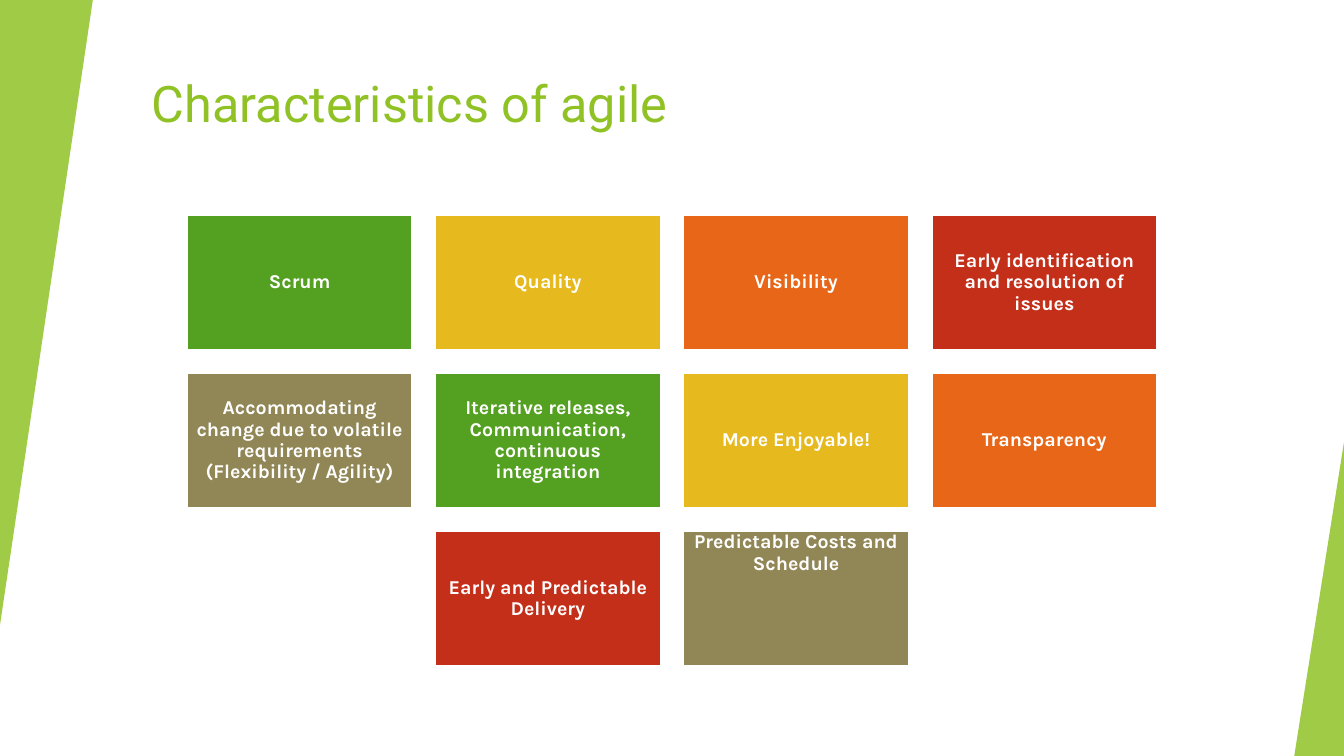
"""Build a slide that shows the characteristics of agile as a centred grid of tiles."""
from lxml.etree import SubElement
from pptx import Presentation
from pptx.dml.color import RGBColor
from pptx.enum.shapes import MSO_SHAPE as Shape
from pptx.enum.text import MSO_ANCHOR as Anchor, PP_ALIGN as Align
from pptx.oxml.ns import qn
from pptx.util import Pt

WHITE = RGBColor(0xFF, 0xFF, 0xFF)
LIME = RGBColor(0x90, 0xC2, 0x26)
GREEN = RGBColor(0x54, 0xA0, 0x21)
YELLOW = RGBColor(0xE6, 0xB9, 0x1E)
ORANGE = RGBColor(0xE7, 0x66, 0x18)
RED = RGBColor(0xC4, 0x2F, 0x1A)
OLIVE = RGBColor(0x91, 0x86, 0x55)

TITLE = "Characteristics of agile"
TILE_ROWS = [
    [
        ("Scrum", GREEN, Anchor.MIDDLE),
        ("Quality", YELLOW, Anchor.MIDDLE),
        ("Visibility", ORANGE, Anchor.MIDDLE),
        ("Early identification and resolution of issues", RED, Anchor.MIDDLE),
    ],
    [
        ("Accommodating change due to volatile requirements (Flexibility / Agility)",
         OLIVE, Anchor.MIDDLE),
        ("Iterative releases, Communication, continuous integration",
         GREEN, Anchor.MIDDLE),
        ("More Enjoyable!", YELLOW, Anchor.MIDDLE),
        ("Transparency", ORANGE, Anchor.MIDDLE),
    ],
    [
        ("Early and Predictable Delivery", RED, Anchor.MIDDLE),
        ("Predictable Costs and Schedule", OLIVE, Anchor.TOP),
    ],
]
EDGE_TRIANGLES = [
    (0, 0, 66.3, 446.4, 180),
    (924.5, 316.1, 35.5, 223.9, 0),
]

SLIDE_WIDTH, SLIDE_HEIGHT = 960, 540
TILE_WIDTH, TILE_HEIGHT, TILE_GAP = 161.2, 96.7, 16.1
GRID_TOP = 153.4
TILE_INSET = 4.2


def add_filled_shape(slide, kind, bounds, color):
    shape = slide.shapes.add_shape(kind, *map(Pt, bounds))
    shape.shadow.inherit = False
    shape.fill.solid()
    shape.fill.fore_color.rgb = color
    return shape


def add_run(paragraph, text, font_name, size, color, bold=False):
    run = paragraph.add_run()
    run.text = text
    run.font.name = font_name
    run.font.size = Pt(size)
    run.font.bold = bold
    run.font.color.rgb = color


def add_edge_triangle(slide, left, top, width, height, rotation):
    triangle = add_filled_shape(
        slide, Shape.ISOSCELES_TRIANGLE, (left, top, width, height), LIME)
    triangle.adjustments[0] = 1
    triangle.rotation = rotation
    triangle.line.fill.background()
    color = triangle.fill._xPr.find(qn("a:solidFill"))[0]
    SubElement(color, qn("a:alpha"), val="85000")


def add_title(slide):
    box = slide.shapes.add_textbox(Pt(101.5), Pt(48), Pt(803), Pt(86.4))
    box.text_frame.word_wrap = True
    add_run(box.text_frame.paragraphs[0], TITLE, "Roboto", 36, LIME)


def add_tile(slide, left, top, text, color, anchor):
    tile = add_filled_shape(
        slide, Shape.RECTANGLE, (left, top, TILE_WIDTH, TILE_HEIGHT), color)
    tile.line.color.rgb = WHITE
    tile.line.width = Pt(1.5)
    frame = tile.text_frame
    frame.word_wrap = True
    frame.vertical_anchor = anchor
    frame.margin_left = frame.margin_right = frame.margin_bottom = Pt(TILE_INSET)
    frame.margin_top = Pt(1 if anchor == Anchor.TOP else TILE_INSET)
    paragraph = frame.paragraphs[0]
    paragraph.alignment = Align.CENTER
    paragraph.line_spacing = 0.9
    add_run(paragraph, text, "Karla", 14, WHITE, bold=True)


def main():
    presentation = Presentation()
    presentation.slide_width = Pt(SLIDE_WIDTH)
    presentation.slide_height = Pt(SLIDE_HEIGHT)
    slide = presentation.slides.add_slide(presentation.slide_layouts[6])
    slide.background.fill.solid()
    slide.background.fill.fore_color.rgb = WHITE

    add_title(slide)
    for triangle in EDGE_TRIANGLES:
        add_edge_triangle(slide, *triangle)

    for row, tiles in enumerate(TILE_ROWS):
        row_width = len(tiles) * (TILE_WIDTH + TILE_GAP) - TILE_GAP
        row_left = (SLIDE_WIDTH - row_width) / 2
        top = GRID_TOP + row * (TILE_HEIGHT + TILE_GAP)
        for column, tile in enumerate(tiles):
            add_tile(slide, row_left + column * (TILE_WIDTH + TILE_GAP), top, *tile)

    presentation.save("out.pptx")


if __name__ == "__main__":
    main()
